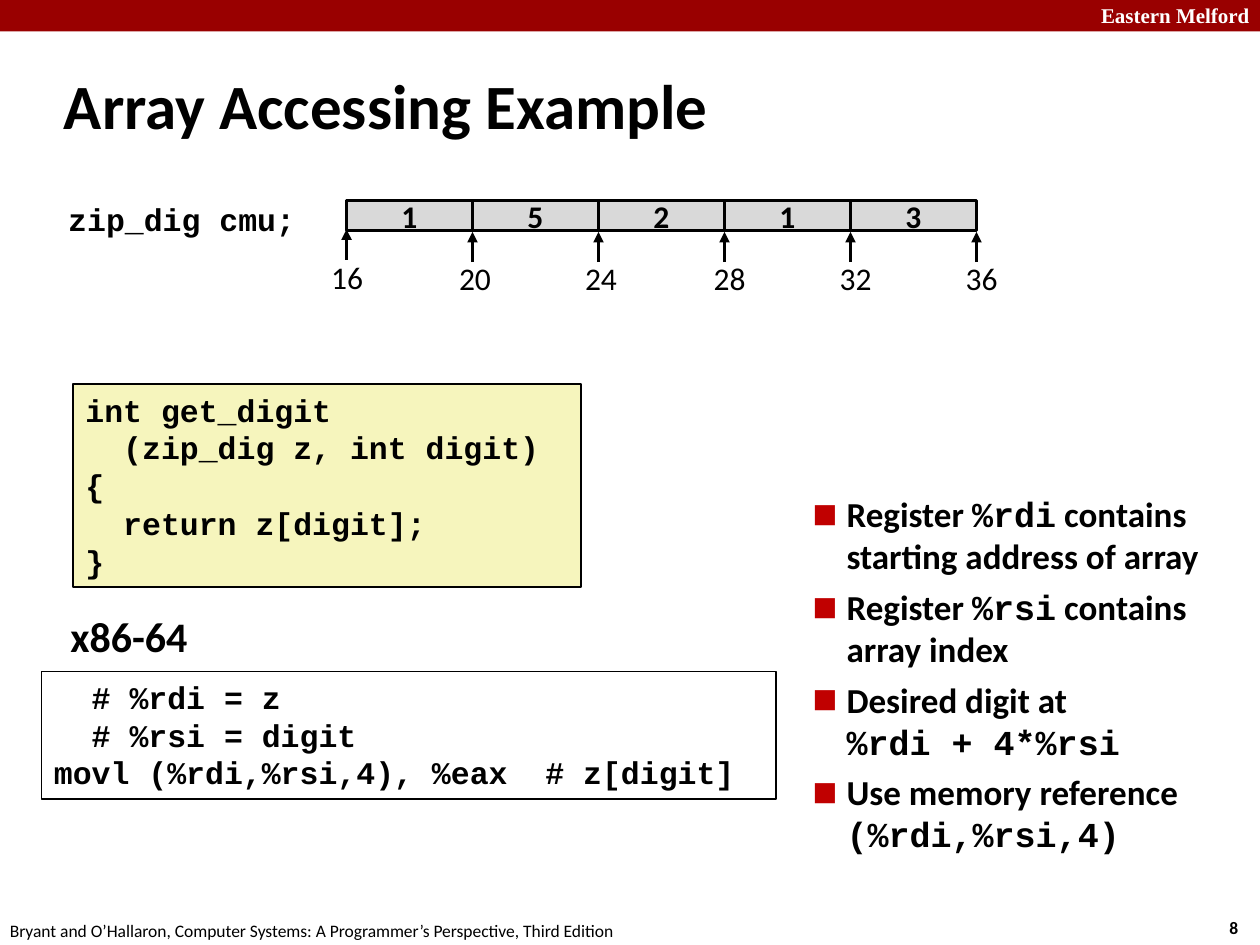
"""Build the array accessing example slide."""
from dataclasses import dataclass
from typing import Optional

from lxml import etree
from pptx import Presentation
from pptx import util as u
from pptx.dml.color import RGBColor
from pptx.enum import shapes, text
from pptx.oxml import ns

BLACK = RGBColor(0x00, 0x00, 0x00)
WHITE = RGBColor(0xFF, 0xFF, 0xFF)
BANNER_RED = RGBColor(0x99, 0x00, 0x00)
CELL_GRAY = RGBColor(0xD9, 0xD9, 0xD9)
CODE_YELLOW = RGBColor(0xF6, 0xF5, 0xBD)
BULLET_RED = "C00000"
SANS, MONO, SERIF = "Calibri", "Courier New", "Times New Roman"
LEFT, CENTER, RIGHT = text.PP_ALIGN.LEFT, text.PP_ALIGN.CENTER, text.PP_ALIGN.RIGHT

ARRAY_LEFT, ARRAY_TOP = 2.75, 1.59
CELL_WIDTH, CELL_HEIGHT = 1, 0.24
FIRST_ADDRESS, ELEMENT_SIZE = 16, 4
DIGITS = ("1", "5", "2", "1", "3")


@dataclass(frozen=True)
class Area:
    left: float
    top: float
    width: float
    height: float

    def lengths(self) -> list:
        return [u.Inches(n) for n in (self.left, self.top, self.width, self.height)]


@dataclass(frozen=True)
class Style:
    size: float
    name: str = SANS
    bold: bool = False
    color: RGBColor = BLACK
    align: text.PP_ALIGN = LEFT


@dataclass(frozen=True)
class Label:
    words: str
    area: Area
    style: Style
    wrap: bool = True
    anchor: text.MSO_ANCHOR = text.MSO_ANCHOR.TOP


@dataclass(frozen=True)
class Box:
    lines: tuple
    area: Area
    style: Style
    fill: Optional[RGBColor]
    border: float
    anchor: text.MSO_ANCHOR = text.MSO_ANCHOR.TOP
    wrap: bool = True


@dataclass(frozen=True)
class Marker:
    address: int
    x: float
    tip: float
    label: Area


CODE = Style(18, MONO, True)
DIGIT = Style(18, bold=True, align=CENTER)
ADDRESS = Style(18, align=CENTER)

LABELS = (
    Label("Eastern Melford", Area(8.64, -0.03, 1.43, 0.3), Style(12, SERIF, True, WHITE)),
    Label("8", Area(9.66, 7.23, 0.37, 0.27), Style(10, bold=True), wrap=False),
    Label("Bryant and O’Hallaron, Computer Systems: A Programmer’s Perspective, Third Edition",
          Area(-0.02, 7.25, 5.08, 0.27), Style(10), wrap=False),
    Label("Array Accessing Example", Area(0.41, 0.41, 8.3, 0.83), Style(36, bold=True),
          anchor=text.MSO_ANCHOR.MIDDLE),
    Label("x86-64", Area(0.46, 4.8, 1.17, 0.5), Style(24, bold=True), wrap=False),
    Label("zip_dig cmu;", Area(0.33, 1.54, 2.11, 0.4), Style(18, MONO, True, align=RIGHT)),
)
BOXES = (
    Box(("int get_digit", "  (zip_dig z, int digit)", "{", "  return z[digit];", "}"),
        Area(0.58, 3.05, 4.03, 1.61), CODE, CODE_YELLOW, 1),
    Box(("  # %rdi = z", "  # %rsi = digit", "movl (%rdi,%rsi,4), %eax  # z[digit]"),
        Area(0.33, 5.33, 5.83, 1.01), CODE, None, 1),
)
NOTES = (
    (("Register ", SANS), ("%rdi", MONO), (" contains starting address of array", SANS)),
    (("Register ", SANS), ("%rsi", MONO), (" contains \narray index", SANS)),
    (("Desired digit at \n", SANS), ("%rdi + 4*%rsi", MONO)),
    (("Use memory reference ", SANS), ("(%rdi,%rsi,4)", MONO)),
)


def style_paragraph(paragraph, style: Style) -> None:
    paragraph.alignment = style.align
    paragraph.font.size = u.Pt(style.size)
    paragraph.font.name = style.name
    paragraph.font.bold = style.bold
    paragraph.font.color.rgb = style.color


def write_lines(frame, lines: tuple, style: Style) -> None:
    for index, line in enumerate(lines):
        paragraph = frame.add_paragraph() if index else frame.paragraphs[0]
        paragraph.add_run().text = line
        style_paragraph(paragraph, style)


def draw_label(slide, label: Label) -> None:
    frame = slide.shapes.add_textbox(*label.area.lengths()).text_frame
    frame.word_wrap = label.wrap
    frame.vertical_anchor = label.anchor
    write_lines(frame, (label.words,), label.style)


def draw_box(slide, box: Box) -> None:
    shape = slide.shapes.add_shape(shapes.MSO_SHAPE.RECTANGLE, *box.area.lengths())
    shape.shadow.inherit = False
    if box.fill is None:
        shape.fill.background()
    else:
        shape.fill.solid()
        shape.fill.fore_color.rgb = box.fill
    shape.line.color.rgb = BLACK
    shape.line.width = u.Pt(box.border)
    shape.text_frame.word_wrap = box.wrap
    shape.text_frame.vertical_anchor = box.anchor
    write_lines(shape.text_frame, box.lines, box.style)


def draw_banner(slide) -> None:
    banner = slide.shapes.add_shape(shapes.MSO_SHAPE.RECTANGLE, *Area(0, 0, 10, 0.25).lengths())
    banner.shadow.inherit = False
    banner.fill.solid()
    banner.fill.fore_color.rgb = BANNER_RED
    banner.line.fill.background()


def draw_marker(slide, marker: Marker) -> None:
    x = u.Inches(marker.x)
    arrow = slide.shapes.add_connector(
        shapes.MSO_CONNECTOR.STRAIGHT, x, u.Inches(marker.tip + 0.24), x, u.Inches(marker.tip))
    arrow.line.color.rgb = BLACK
    arrow.line.width = u.Pt(2)
    properties = arrow.element.spPr
    etree.SubElement(properties.find(ns.qn("a:ln")), ns.qn("a:tailEnd"), type="triangle")
    etree.SubElement(properties, ns.qn("a:effectLst"))
    draw_label(slide, Label(str(marker.address), marker.label, ADDRESS))


def draw_array(slide) -> None:
    for index, digit in enumerate(DIGITS):
        area = Area(ARRAY_LEFT + index * CELL_WIDTH, ARRAY_TOP, CELL_WIDTH, CELL_HEIGHT)
        draw_box(slide, Box((digit,), area, DIGIT, CELL_GRAY, 2, text.MSO_ANCHOR.MIDDLE, False))
    draw_marker(slide, Marker(FIRST_ADDRESS, ARRAY_LEFT, 1.82, Area(2.39, 2, 0.73, 0.4)))
    for index in range(1, len(DIGITS) + 1):
        x = ARRAY_LEFT + index * CELL_WIDTH
        nudge = -0.52 if index < 3 else -0.5
        draw_marker(slide, Marker(FIRST_ADDRESS + index * ELEMENT_SIZE, x, 1.84,
                                  Area(x + nudge, 2.01, 1.08, 0.4)))


def add_bullet(paragraph) -> None:
    properties = paragraph._p.get_or_add_pPr()
    properties.set("marL", str(u.Inches(0.44)))
    properties.set("indent", str(u.Inches(-0.27)))
    color = etree.SubElement(properties, ns.qn("a:buClr"))
    etree.SubElement(color, ns.qn("a:srgbClr"), val=BULLET_RED)
    etree.SubElement(properties, ns.qn("a:buSzPct"), val="75000")
    etree.SubElement(properties, ns.qn("a:buFont"), typeface=SANS)
    etree.SubElement(properties, ns.qn("a:buChar"), char="■")


def draw_notes(slide) -> None:
    frame = slide.shapes.add_textbox(*Area(6.18, 3.86, 3.75, 3.26).lengths()).text_frame
    frame.word_wrap = True
    for index, note in enumerate(NOTES):
        paragraph = frame.add_paragraph() if index else frame.paragraphs[0]
        paragraph.space_before = u.Pt(5)
        add_bullet(paragraph)
        for words, font_name in note:
            for part, line in enumerate(words.split("\n")):
                if part:
                    paragraph.add_line_break()
                if line:
                    run = paragraph.add_run()
                    run.text = line
                    run.font.name = font_name
        style_paragraph(paragraph, Style(20, bold=True))


def main() -> None:
    presentation = Presentation()
    presentation.slide_width, presentation.slide_height = u.Inches(10), u.Inches(7.5)
    slide = presentation.slides.add_slide(presentation.slide_layouts[6])
    draw_banner(slide)
    for label in LABELS:
        draw_label(slide, label)
    draw_notes(slide)
    for box in BOXES:
        draw_box(slide, box)
    draw_array(slide)
    presentation.save("out.pptx")


if __name__ == "__main__":
    main()
